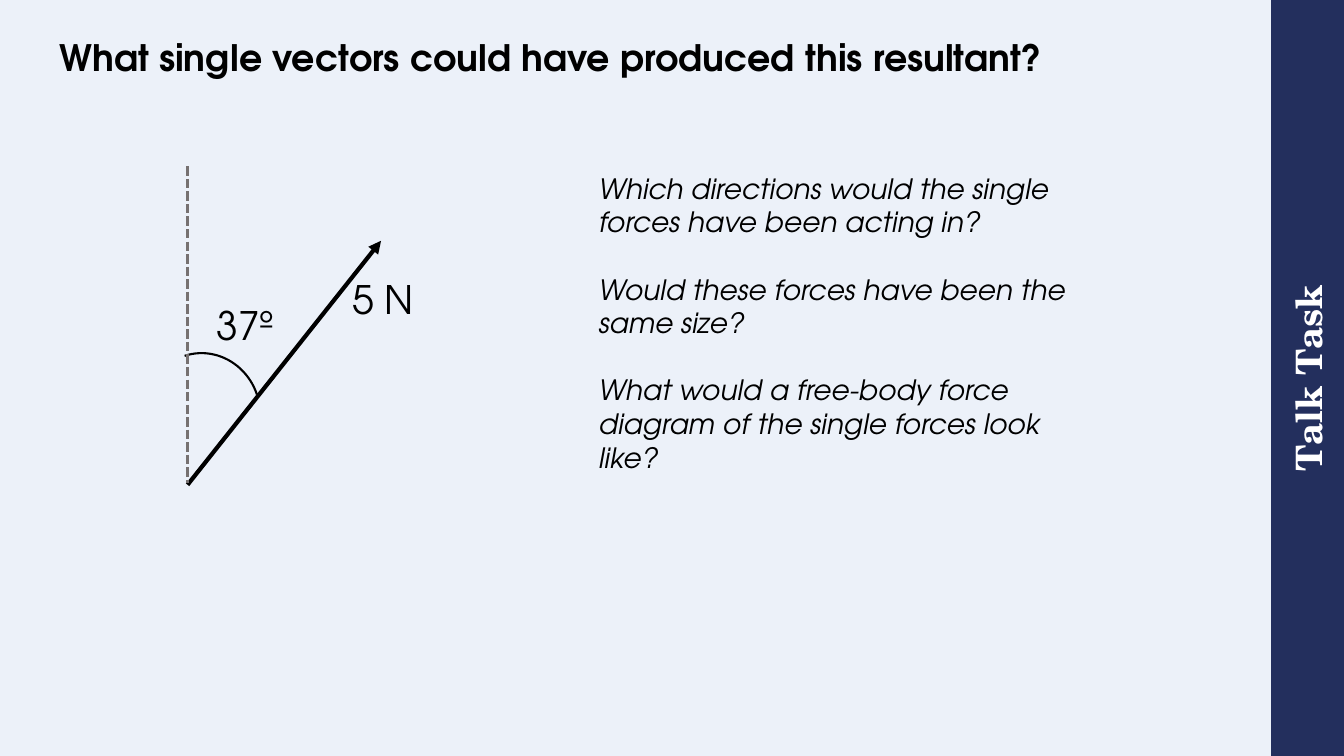
import pptx
import pptx.util
import pptx.dml.color
import pptx.enum.dml
import pptx.enum.shapes
import pptx.enum.text
import pptx.oxml

Pt = pptx.util.Pt
Shape = pptx.enum.shapes.MSO_SHAPE
Anchor = pptx.enum.text.MSO_ANCHOR
Align = pptx.enum.text.PP_ALIGN

WIDE, HIGH = 960, 540
BAR = 52
SANS, SERIF = "TeX Gyre Adventor", "TeX Gyre Schola"
HUES = {"back": "ECF1F9", "bar": "232F5D", "ink": "000000",
        "dash": "767171", "white": "FFFFFF"}
ASKS = [
    "Which directions would the single forces have been acting in?",
    "Would these forces have been the same size?",
    "What would a free-body force diagram of the single forces look like?",
]


def hue(name):
    return pptx.dml.color.RGBColor.from_string(HUES[name])


def write(frame, lines, size, font=SANS, color="ink", align=Align.LEFT,
          bold=False, italic=False, gap=0, lead=1.0):
    """Fill a text frame with one paragraph per line."""
    frame.word_wrap = True
    for i, line in enumerate(lines):
        para = frame.add_paragraph() if i else frame.paragraphs[0]
        para.text = line
        para.alignment = align
        para.line_spacing = lead
        para.space_before = Pt(gap if i else 0)
        para.font.name, para.font.size = font, Pt(size)
        para.font.bold, para.font.italic = bold, italic
        para.font.color.rgb = hue(color)


def flush(frame, anchor):
    """Remove the insets and anchor the text."""
    frame.margin_left = frame.margin_right = 0
    frame.margin_top = frame.margin_bottom = 0
    frame.vertical_anchor = anchor


def text(slide, x, y, w, h, lines, size, **style):
    box = slide.shapes.add_textbox(Pt(x), Pt(y), Pt(w), Pt(h))
    write(box.text_frame, lines, size, **style)
    return box


def line(slide, start, end, color, width):
    link = slide.shapes.add_connector(
        pptx.enum.shapes.MSO_CONNECTOR.STRAIGHT,
        *(Pt(v) for v in start + end))
    link.line.color.rgb = hue(color)
    link.line.width = Pt(width)
    pptx.oxml.xmlchemy.OxmlElement  # shadow is cleared just below
    link._element.spPr.append(pptx.oxml.xmlchemy.OxmlElement("a:effectLst"))
    return link


def arrow(slide, start, end, color, width):
    link = line(slide, start, end, color, width)
    tip = pptx.oxml.xmlchemy.OxmlElement("a:tailEnd")
    tip.set("type", "triangle")
    link.line._get_or_add_ln().append(tip)


def arc(slide, x, y, w, h, turn):
    curve = slide.shapes.add_shape(Shape.ARC, Pt(x), Pt(y), Pt(w), Pt(h))
    curve.rotation = turn
    curve.shadow.inherit = False
    curve.fill.background()
    curve.line.color.rgb = hue("ink")
    curve.line.width = Pt(1.5)


def banner(slide, label):
    """Draw the bar on its side along the right edge."""
    bar = slide.shapes.add_shape(
        Shape.RECTANGLE, Pt(WIDE - (BAR + HIGH) / 2), Pt((HIGH - BAR) / 2),
        Pt(HIGH), Pt(BAR))
    bar.rotation = 270
    bar.shadow.inherit = False
    bar.fill.solid()
    bar.fill.fore_color.rgb = hue("bar")
    bar.line.fill.background()
    flush(bar.text_frame, Anchor.MIDDLE)
    write(bar.text_frame, [label], 26, font=SERIF, color="white",
          align=Align.CENTER, bold=True)


def main():
    deck = pptx.Presentation()
    deck.slide_width, deck.slide_height = Pt(WIDE), Pt(HIGH)
    slide = deck.slides.add_slide(deck.slide_layouts[6])
    slide.background.fill.solid()
    slide.background.fill.fore_color.rgb = hue("back")

    # Side bar and title
    banner(slide, "Talk Task")
    title = text(slide, 42.5, 0, 836, 57,
                 ["What single vectors could have produced this resultant?"],
                 26, bold=True, lead=0.9)
    flush(title.text_frame, Anchor.BOTTOM)

    # Resultant, vertical and the angle between them
    arrow(slide, (134, 346.3), (272.2, 172), "ink", 3)
    arc(slide, 105, 252, 80.6, 85, 341.6)
    text(slide, 199.5, 193, 103, 41, ["5 N"], 28, align=Align.RIGHT)
    dash = line(slide, (134, 118.8), (134, 345), "dash", 2.25)
    dash.line.dash_style = pptx.enum.dml.MSO_LINE.SQUARE_DOT
    text(slide, 42.5, 211.7, 160.5, 41, ["37º"], 28, align=Align.RIGHT)

    # Questions
    text(slide, 420.5, 118.8, 359.3, 225.4, ASKS, 20, italic=True, gap=24)

    deck.save("out.pptx")


if __name__ == "__main__":
    main()
